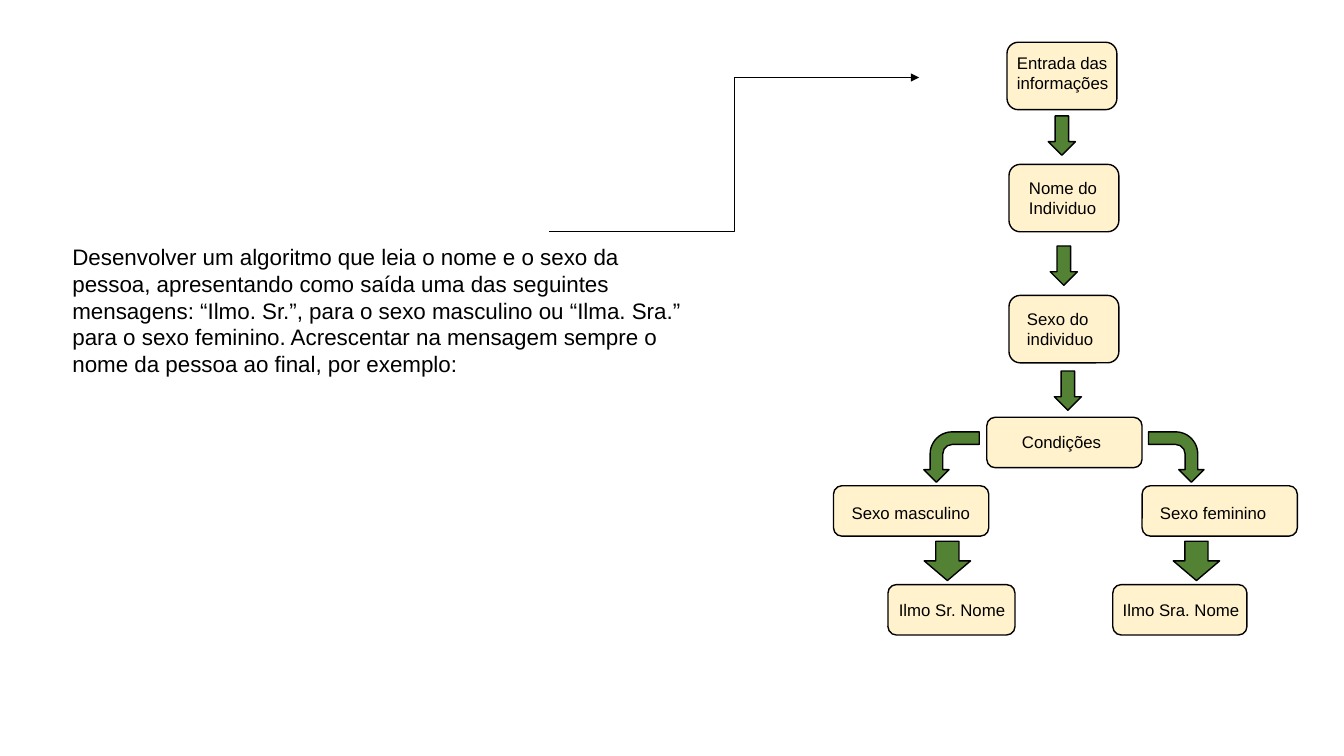
"""Build a slide with an exercise statement and its flowchart."""
from dataclasses import dataclass

import pptx
import pptx.dml.color
import pptx.enum.shapes
import pptx.oxml
import pptx.oxml.ns
import pptx.slide
import pptx.util

Pt = pptx.util.Pt
RGBColor = pptx.dml.color.RGBColor
Preset = pptx.enum.shapes.MSO_SHAPE

BLACK = RGBColor(0x00, 0x00, 0x00)
CREAM = RGBColor(0xFF, 0xF2, 0xCC)
GREEN = RGBColor(0x54, 0x82, 0x35)
FONT = "Arial"
STATEMENT = (
    "Desenvolver um algoritmo que leia o nome e o sexo da pessoa, apresentando como "
    "saída uma das seguintes mensagens: “Ilmo. Sr.”, para o sexo masculino ou "
    "“Ilma. Sra.” para o sexo feminino. Acrescentar na mensagem sempre o nome da "
    "pessoa ao final, por exemplo:"
)


@dataclass(frozen=True)
class Frame:
    left: float
    top: float
    width: float
    height: float

    def lengths(self) -> tuple:
        return Pt(self.left), Pt(self.top), Pt(self.width), Pt(self.height)


@dataclass(frozen=True)
class Step:
    text: str
    frame: Frame
    label: Frame


@dataclass(frozen=True)
class Arrow:
    frame: Frame
    preset: Preset = Preset.DOWN_ARROW
    rotation: float = 0
    flipped: bool = False


STEPS = [
    Step("Entrada das informações", Frame(719.3, 30.2, 78.5, 48.2), Frame(719.3, 33.8, 87.1, 36)),
    Step("Nome do Individuo", Frame(720.7, 117.4, 78.5, 48.2), Frame(727.9, 123.1, 64.1, 36)),
    Step("Sexo do individuo", Frame(720.7, 211, 78.5, 48.2), Frame(726.5, 216.7, 64.1, 36)),
    Step("Condições", Frame(704.9, 298.1, 110.9, 36), Frame(722.9, 304.6, 84.2, 21.6)),
    Step("Sexo masculino", Frame(595.4, 347, 110.9, 36), Frame(601.2, 355.7, 99.4, 21.6)),
    Step("Sexo feminino", Frame(815.8, 347, 110.9, 36), Frame(821.5, 355.7, 98.6, 21.6)),
    Step("Ilmo Sr. Nome", Frame(634.3, 417.6, 90.7, 36), Frame(635, 424.8, 105.8, 21.6)),
    Step("Ilmo Sra. Nome", Frame(794.9, 417.6, 95.8, 36), Frame(794.9, 424.8, 110.9, 21.6)),
]
ARROWS = [
    Arrow(Frame(748.8, 82.8, 19.4, 28.1)),
    Arrow(Frame(750.2, 175.7, 19.4, 28.1)),
    Arrow(Frame(753.1, 265, 19.4, 28.1)),
    Arrow(Frame(661.7, 306.7, 36, 39.6), Preset.BENT_ARROW, 90, True),
    Arrow(Frame(822.2, 306.7, 36, 39.6), Preset.BENT_ARROW, 90),
    Arrow(Frame(660.2, 386.6, 33.1, 28.1)),
    Arrow(Frame(838.1, 386.6, 33.1, 28.1)),
]


def add_outlined(page: pptx.slide.Slide, preset: Preset, frame: Frame, fill: RGBColor):
    shape = page.shapes.add_shape(preset, *frame.lengths())
    shape.shadow.inherit = False
    shape.fill.solid()
    shape.fill.fore_color.rgb = fill
    shape.line.color.rgb = BLACK
    shape.line.width = Pt(1)
    return shape


def add_text(page: pptx.slide.Slide, text: str, frame: Frame, size: float) -> None:
    box = page.shapes.add_textbox(*frame.lengths())
    box.text_frame.word_wrap = True
    box.text_frame.text = text
    font = box.text_frame.paragraphs[0].runs[0].font
    font.name = FONT
    font.size = Pt(size)
    font.color.rgb = BLACK


def add_step(page: pptx.slide.Slide, step: Step) -> None:
    add_outlined(page, Preset.ROUNDED_RECTANGLE, step.frame, CREAM)
    add_text(page, step.text, step.label, 12)


def add_arrow(page: pptx.slide.Slide, arrow: Arrow) -> None:
    shape = add_outlined(page, arrow.preset, arrow.frame, GREEN)
    shape.rotation = arrow.rotation
    if arrow.flipped:
        shape.element.spPr.xfrm.set("flipV", "1")


def add_pointer(page: pptx.slide.Slide) -> None:
    pointer = page.shapes.add_connector(
        pptx.enum.shapes.MSO_CONNECTOR.ELBOW, Pt(392.4), Pt(165.6), Pt(656.6), Pt(55.4)
    )
    pointer.line.color.rgb = BLACK
    pointer.line.width = Pt(0.5)
    head = pptx.oxml.parse_xml(f'<a:tailEnd {pptx.oxml.ns.nsdecls("a")} type="triangle"/>')
    pointer.line._get_or_add_ln().append(head)
    effects = pptx.oxml.parse_xml(f'<a:effectLst {pptx.oxml.ns.nsdecls("a")}/>')
    pointer._element.spPr.append(effects)


def main() -> None:
    deck = pptx.Presentation()
    deck.slide_width, deck.slide_height = Pt(960), Pt(540)
    page = deck.slides.add_slide(deck.slide_layouts[6])
    add_text(page, STATEMENT, Frame(44.6, 170, 458, 126), 16)
    for step in STEPS:
        add_step(page, step)
    for arrow in ARROWS:
        add_arrow(page, arrow)
    add_pointer(page)
    deck.save("out.pptx")


if __name__ == "__main__":
    main()
